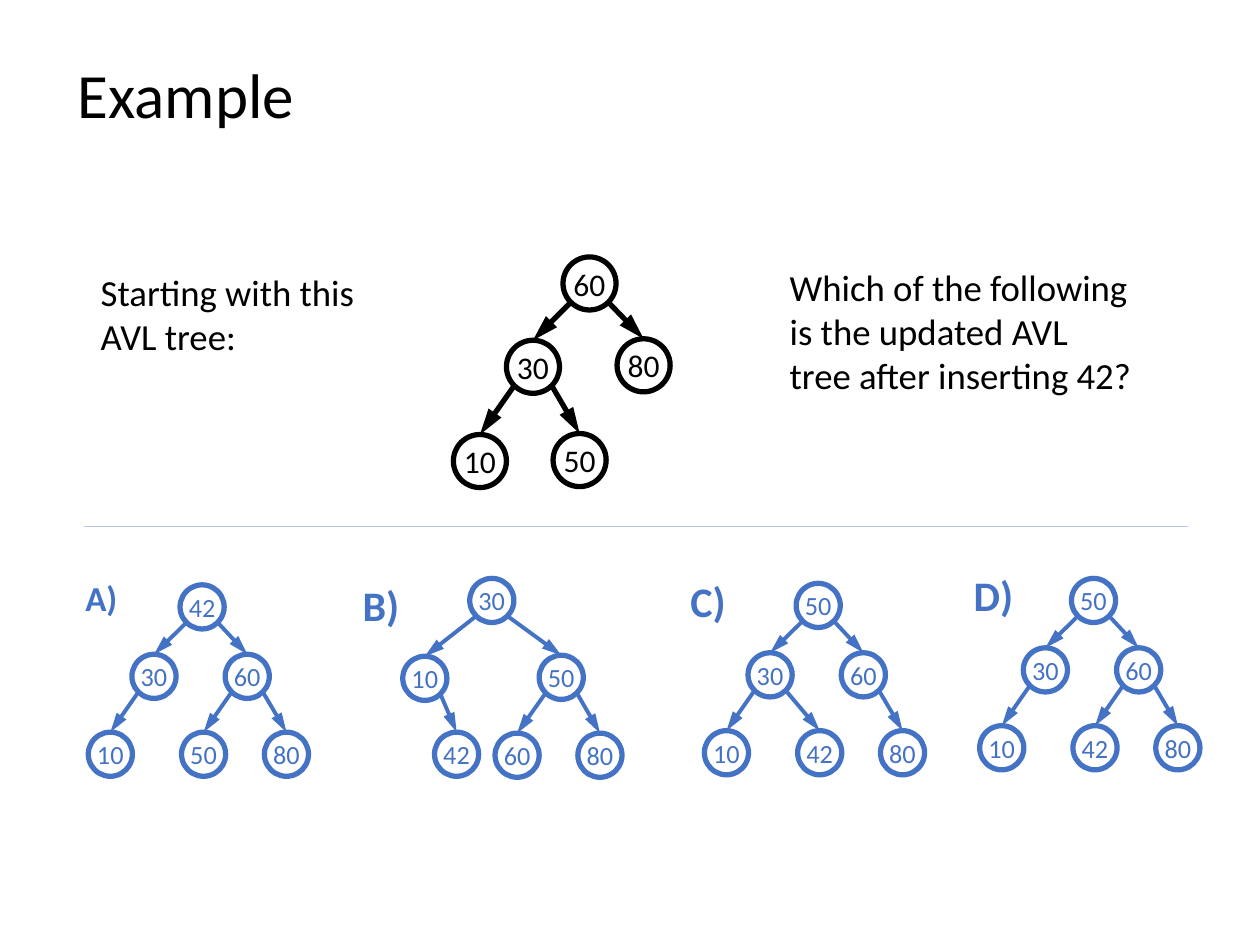
from lxml.etree import SubElement
from pptx import Presentation
from pptx.dml.color import RGBColor
from pptx.enum.shapes import MSO_CONNECTOR, MSO_SHAPE
from pptx.enum.text import MSO_ANCHOR, MSO_AUTO_SIZE, PP_ALIGN
from pptx.oxml.ns import qn
from pptx.util import Cm, Pt

BLACK = RGBColor(0x00, 0x00, 0x00)
BLUE = RGBColor(0x44, 0x72, 0xC4)
PALE_BLUE = RGBColor(0xB4, 0xC7, 0xE7)

# Node offsets in cm from the root, listed root first
START_OFFSETS = [(0, 0), (-1.14, 1.68), (1.09, 1.65), (-2.21, 3.58), (-0.2, 3.56)]
BALANCED_OFFSETS = [(0, 0), (-0.97, 1.4), (0.91, 1.4),
                    (-1.85, 2.97), (0.03, 2.97), (1.7, 2.97)]
WIDE_OFFSETS = [(0, 0), (-1.35, 1.57), (1.4, 1.55),
                (-0.71, 3.1), (0.51, 3.12), (2.18, 3.12)]

# Label, label size, label corner, root corner, offsets, values, parent indices
OPTIONS = [
    ("A)", 20, (1.47, 11.58), (3.63, 11.79), BALANCED_OFFSETS,
     [42, 30, 60, 10, 50, 80], [None, 0, 0, 1, 2, 2]),
    ("B)", 24, (7.11, 11.58), (9.47, 11.66), WIDE_OFFSETS,
     [30, 10, 50, 42, 60, 80], [None, 0, 0, 1, 2, 2]),
    ("C)", 24, (13.72, 11.51), (16.05, 11.76), BALANCED_OFFSETS,
     [50, 30, 60, 10, 42, 80], [None, 0, 0, 1, 1, 2]),
    ("D)", 24, (19.43, 11.38), (21.6, 11.66), BALANCED_OFFSETS,
     [50, 30, 60, 10, 42, 80], [None, 0, 0, 1, 2, 2]),
]


def write_text(shape, text, size, color=BLACK, bold=False, align=PP_ALIGN.LEFT,
               anchor=MSO_ANCHOR.TOP, wrap=True, line_spacing=None, insets=(0.25, 0.13)):
    frame = shape.text_frame
    frame.auto_size = MSO_AUTO_SIZE.NONE
    frame.word_wrap = wrap
    frame.vertical_anchor = anchor
    frame.margin_left = frame.margin_right = Cm(insets[0])
    frame.margin_top = frame.margin_bottom = Cm(insets[1])
    paragraph = frame.paragraphs[0]
    paragraph.text = text
    paragraph.alignment = align
    paragraph.line_spacing = line_spacing
    font = paragraph.font
    font.name, font.size, font.bold = "Calibri", Pt(size), bold
    font.color.rgb = color


def add_text(slide, text, left, top, width, height, **text_format):
    box = slide.shapes.add_textbox(Cm(left), Cm(top), Cm(width), Cm(height))
    write_text(box, text, **text_format)


def add_line(shapes, start, end, color, width, arrow=False):
    line = shapes.add_connector(MSO_CONNECTOR.STRAIGHT, *start, *end)
    line.line.color.rgb = color
    line.line.width = Pt(width)
    if arrow:
        SubElement(line.line._get_or_add_ln(), qn("a:tailEnd"),
                   type="triangle", w="med", len="lg")
    SubElement(line._element.spPr, qn("a:effectLst"))
    return line


def add_node(shapes, value, left, top, diameter, color, size):
    node = shapes.add_shape(MSO_SHAPE.OVAL, Cm(left), Cm(top), Cm(diameter), Cm(diameter))
    node.shadow.inherit = False
    node.fill.background()
    node.line.color.rgb = color
    node.line.width = Pt(3)
    write_text(node, str(value), size, color, align=PP_ALIGN.CENTER,
               anchor=MSO_ANCHOR.MIDDLE, wrap=False)
    return node


def add_edge(shapes, parent, child, color, width):
    """Run an arrow from the parent's lower diagonal to the top of the child."""
    across = 0.15 if child.left < parent.left else 0.85
    start = (parent.left + int(across * parent.width),
             parent.top + int(0.85 * parent.height))
    end = (child.left + child.width // 2, child.top)
    edge = add_line(shapes, start, end, color, width, arrow=True)
    edge.end_connect(child, 0)


def add_tree(slide, root, offsets, values, parents, *, diameter=0.89, color=BLUE,
             size=15, edge_width=2.25):
    shapes = slide.shapes.add_group_shape().shapes
    nodes = [add_node(shapes, value, root[0] + dx, root[1] + dy, diameter, color, size)
             for value, (dx, dy) in zip(values, offsets)]
    for node, parent in zip(nodes, parents):
        if parent is not None:
            add_edge(shapes, nodes[parent], node, color, edge_width)


def add_title(slide, text):
    title = slide.shapes.title
    title.left, title.top, title.width, title.height = Cm(1.32), Cm(0.89), Cm(21.9), Cm(2.18)
    write_text(title, text, 36, anchor=MSO_ANCHOR.MIDDLE, line_spacing=0.9)


def main():
    presentation = Presentation()
    presentation.slide_width, presentation.slide_height = Cm(25.4), Cm(19.05)
    slide = presentation.slides.add_slide(presentation.slide_layouts[5])

    add_title(slide, "Example")
    add_text(slide, "Starting with this AVL tree:", 1.78, 5.31, 6.48, 2.03, size=21)
    add_text(slide, "Which of the following is the updated AVL tree after inserting 42?",
             15.67, 5.21, 7.44, 2.92, size=21)
    add_tree(slide, (11.35, 5.18), START_OFFSETS, [60, 30, 80, 10, 50],
             [None, 0, 0, 1, 1], diameter=1.07, color=BLACK, size=18, edge_width=3)
    add_line(slide.shapes, (Cm(1.7), Cm(10.62)), (Cm(23.95), Cm(10.62)), PALE_BLUE, 0.5)

    for label, size, corner, root, offsets, values, parents in OPTIONS:
        add_text(slide, label, *corner, 1.4, 1.27, size=size, color=BLUE, bold=True,
                 line_spacing=0.9 if size == 20 else None,
                 insets=(0.25, 0.13) if size == 20 else (0.2, 0.1))
        add_tree(slide, root, offsets, values, parents)

    presentation.save("out.pptx")


if __name__ == "__main__":
    main()
